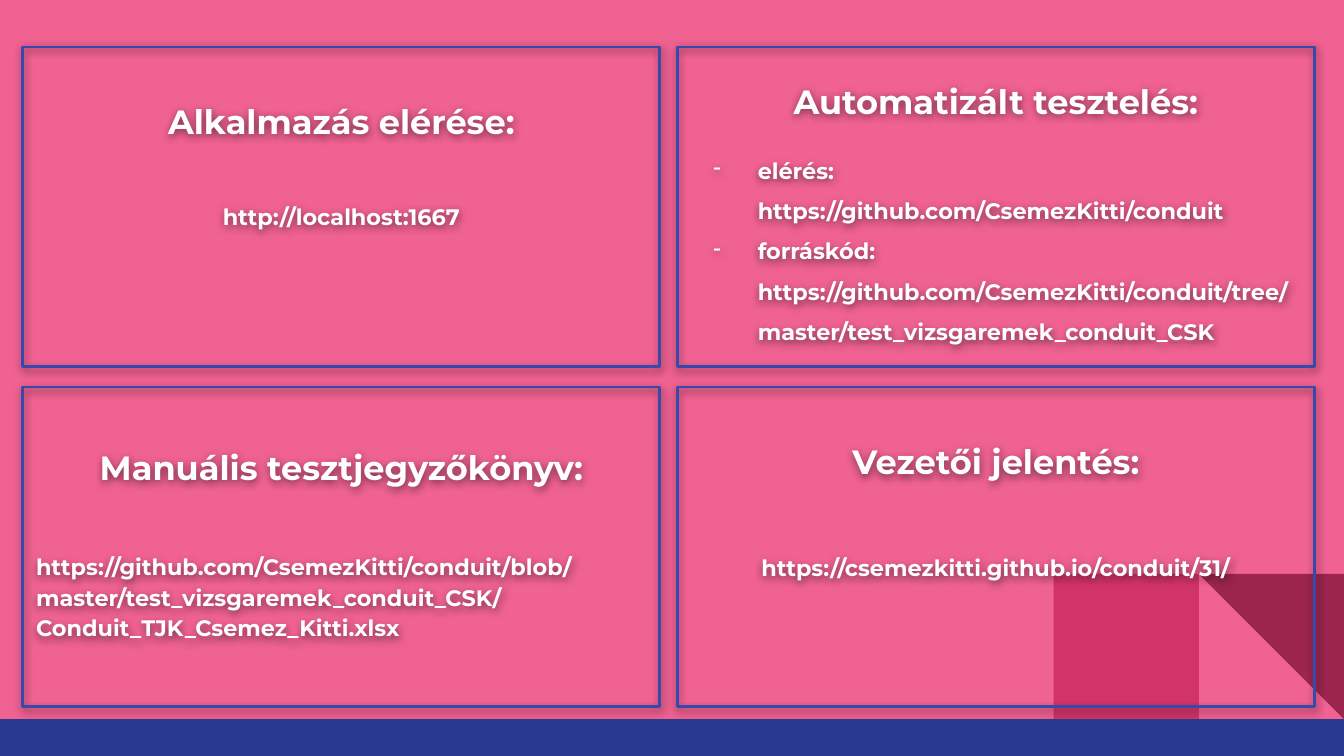
import lxml.etree
import pptx
import pptx.dml.color
import pptx.enum.shapes
import pptx.enum.text
import pptx.oxml.ns
import pptx.util

WIDTH = 10
HEIGHT = WIDTH * 9 / 16
COLORS = {
    "page": "F06292",
    "square": "D23369",
    "corner": "9C254D",
    "band": "2A3990",
    "frame": "3949AB",
    "text": "FFFFFF",
    "shadow": "000000",
}
GRID = {"left": 0.17, "top": 0.35, "column": 4.87, "row": 2.53}
PANEL = {"width": 4.74, "height": 2.38}
TILE = 1.08
BAND_TOP = 5.35
CENTER = pptx.enum.text.PP_ALIGN.CENTER
LEFT = pptx.enum.text.PP_ALIGN.LEFT
HEADING_SIZE, BODY_SIZE = 18, 12

PANELS = [
    {
        "cell": (0, 0), "inset": 0.4, "spacing": 1.0, "gap": 33, "align": CENTER,
        "heading": "Alkalmazás elérése:",
        "body": ["http://localhost:1667"],
    },
    {
        "cell": (0, 1), "inset": 0.4, "spacing": 1.15, "gap": 33, "align": LEFT,
        "heading": "Manuális tesztjegyzőkönyv:",
        "body": ["https://github.com/CsemezKitti/conduit/blob/master/"
                 "test_vizsgaremek_conduit_CSK/Conduit_TJK_Csemez_Kitti.xlsx"],
    },
    {
        "cell": (1, 0), "inset": 0.1, "spacing": 1.5, "gap": 12, "align": LEFT,
        "heading": "Automatizált tesztelés:", "bullet": "-",
        "body": ["elérés: https://github.com/CsemezKitti/conduit",
                 "forráskód: https://github.com/CsemezKitti/conduit/tree/master/"
                 "test_vizsgaremek_conduit_CSK"],
    },
    {
        "cell": (1, 1), "inset": 0.4, "spacing": 1.0, "gap": 39, "align": CENTER,
        "heading": "Vezetői jelentés:",
        "body": ["https://csemezkitti.github.io/conduit/31/"],
    },
]


def color(name):
    """Return the named colour."""
    return pptx.dml.color.RGBColor.from_string(COLORS[name])


def set_values(target, values):
    """Set every attribute in the dict on the target."""
    for name, value in values.items():
        setattr(target, name, value)


def add_child(parent, tag, **attributes):
    """Append a DrawingML element to the parent."""
    return lxml.etree.SubElement(parent, pptx.oxml.ns.qn(tag), attributes)


def add_block(page, kind, fill, left, top, width, height, rotation=0):
    """Add a plain filled shape."""
    lengths = [pptx.util.Inches(value) for value in (left, top, width, height)]
    block = page.shapes.add_shape(kind, *lengths)
    block.shadow.inherit = False
    block.rotation = rotation
    block.fill.solid()
    block.fill.fore_color.rgb = color(fill)
    block.line.fill.background()


def add_decoration(page):
    """Add the corner tiles and the bottom band."""
    kinds = pptx.enum.shapes.MSO_SHAPE
    top = BAND_TOP - TILE
    add_block(page, kinds.RECTANGLE, "square", WIDTH - 2 * TILE, top, TILE, TILE)
    add_block(page, kinds.RIGHT_TRIANGLE, "corner", WIDTH - TILE, top, TILE, TILE, 180)
    add_block(page, kinds.RECTANGLE, "band", 0, BAND_TOP, WIDTH, HEIGHT - BAND_TOP)


def add_shadow(box):
    """Give the box a soft shadow straight below it."""
    effects = add_child(box.element.spPr, "a:effectLst")
    shadow = add_child(effects, "a:outerShdw", blurRad="57150", dist="19050",
                       dir="5400000", algn="bl", rotWithShape="0")
    tint = add_child(shadow, "a:srgbClr", val=COLORS["shadow"])
    add_child(tint, "a:alpha", val="50000")


def add_bullet(para, character):
    """Give the paragraph a hanging bullet."""
    properties = para._p.get_or_add_pPr()
    properties.set("marL", str(pptx.util.Inches(0.5)))
    properties.set("indent", str(pptx.util.Inches(-0.33)))
    tint = add_child(properties, "a:buClr")
    add_child(tint, "a:srgbClr", val=COLORS["text"])
    add_child(properties, "a:buChar", char=character)


def write_span(para, text, size, formats):
    """Write bold text into a formatted paragraph."""
    set_values(para, formats)
    span = para.add_run()
    span.text = text
    set_values(span.font, {"name": "Montserrat", "size": pptx.util.Pt(size), "bold": True})
    span.font.color.rgb = color("text")


def format_panel(box, panel):
    """Place the box in its grid cell and frame it."""
    column, row = panel["cell"]
    set_values(box, {
        "left": pptx.util.Inches(GRID["left"] + column * GRID["column"]),
        "top": pptx.util.Inches(GRID["top"] + row * GRID["row"]),
        "width": pptx.util.Inches(PANEL["width"]),
        "height": pptx.util.Inches(PANEL["height"]),
    })
    box.fill.background()
    box.line.color.rgb = color("frame")
    box.line.width = pptx.util.Pt(1.5)
    add_shadow(box)
    margin = pptx.util.Inches(0.1)
    set_values(box.text_frame, {
        "word_wrap": True,
        "auto_size": pptx.enum.text.MSO_AUTO_SIZE.NONE,
        "vertical_anchor": pptx.enum.text.MSO_ANCHOR.TOP,
        "margin_left": margin,
        "margin_right": margin,
        "margin_bottom": margin,
        "margin_top": pptx.util.Inches(panel["inset"]),
    })


def fill_panel(box, panel):
    """Write the heading and the body of a panel."""
    frame = box.text_frame
    write_span(frame.paragraphs[0], panel["heading"], HEADING_SIZE,
               {"alignment": CENTER, "line_spacing": panel["spacing"]})
    for index, text in enumerate(panel["body"]):
        para = frame.add_paragraph()
        if "bullet" in panel:
            add_bullet(para, panel["bullet"])
        write_span(para, text, BODY_SIZE, {
            "alignment": panel["align"],
            "line_spacing": panel["spacing"],
            "space_before": pptx.util.Pt(0 if index else panel["gap"]),
        })


def main():
    """Build the slide and save it."""
    deck = pptx.Presentation()
    deck.slide_width = pptx.util.Inches(WIDTH)
    deck.slide_height = pptx.util.Inches(HEIGHT)
    page = deck.slides.add_slide(deck.slide_layouts.get_by_name("Title Only"))
    page.background.fill.solid()
    page.background.fill.fore_color.rgb = color("page")
    add_decoration(page)
    for index, panel in enumerate(PANELS):
        box = page.shapes.add_textbox(0, 0, 0, 0) if index else page.shapes.title
        format_panel(box, panel)
        fill_panel(box, panel)
    deck.save("out.pptx")


if __name__ == "__main__":
    main()
